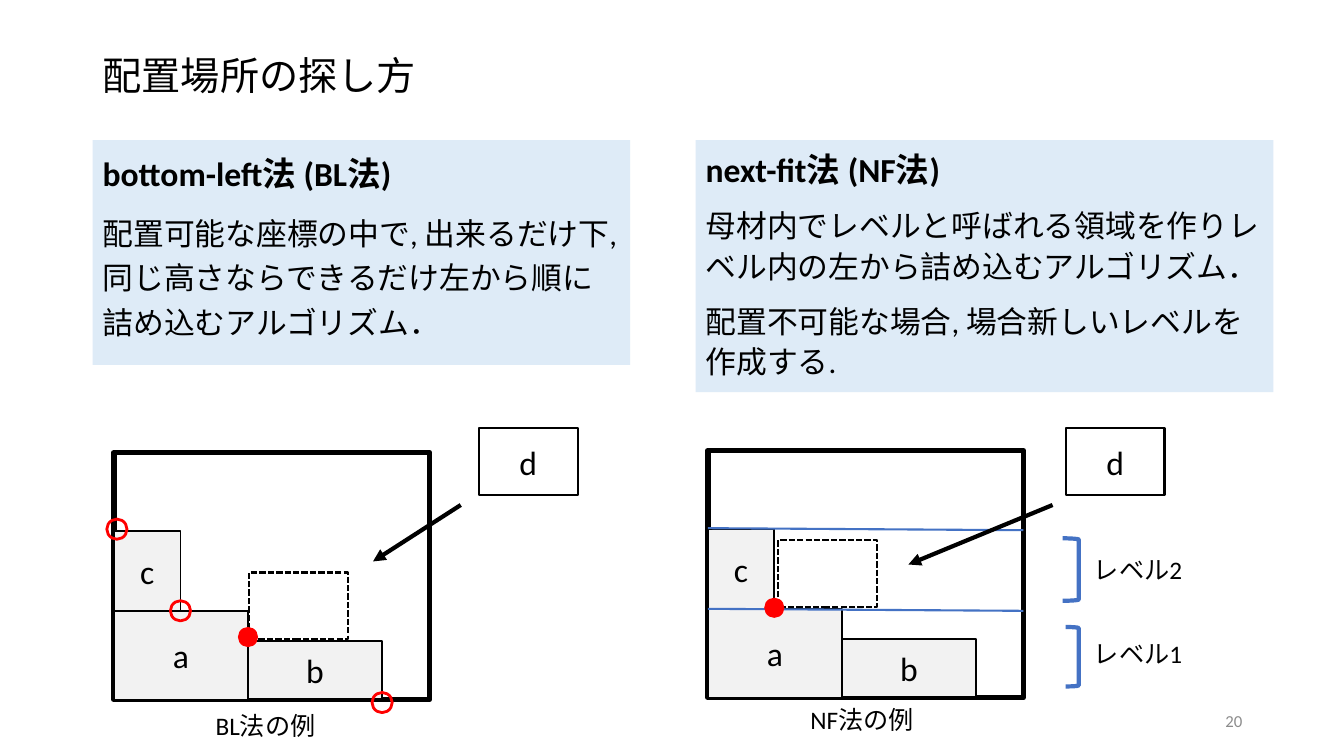
import pptx
import pptx.util
import pptx.dml.color
import pptx.enum.dml
import pptx.enum.shapes
import pptx.enum.text
import pptx.oxml
import pptx.oxml.ns
from lxml import etree

Inches, Pt = pptx.util.Inches, pptx.util.Pt
RGBColor = pptx.dml.color.RGBColor
SHAPE = pptx.enum.shapes.MSO_SHAPE
ALIGN = pptx.enum.text.PP_ALIGN
ANCHOR = pptx.enum.text.MSO_ANCHOR
qn = pptx.oxml.ns.qn

FONT = "Calibri"
BLACK = RGBColor(0x00, 0x00, 0x00)
GREY = RGBColor(0x8C, 0x8C, 0x8C)
PANEL = RGBColor(0xDE, 0xEB, 0xF7)
BLOCK = RGBColor(0xF2, 0xF2, 0xF2)
RED = RGBColor(0xFF, 0x00, 0x00)
BLUE = RGBColor(0x44, 0x72, 0xC4)

BIN_W, BIN_H = 3.13, 2.45
ITEM_W, ITEM_H = 0.98, 0.66
DOT = 0.2


def style_runs(p, size, color=BLACK, bold=False):
    for r in p.runs:
        r.font.name = FONT
        r.font.size = Pt(size)
        r.font.bold = bold
        r.font.color.rgb = color


def add_shape(s, kind, x, y, w, h, fill=None, line=None, width=1.5, text=""):
    sp = s.shapes.add_shape(kind, Inches(x), Inches(y), Inches(w), Inches(h))
    sp.shadow.inherit = False
    if fill is None:
        sp.fill.background()
    else:
        sp.fill.solid()
        sp.fill.fore_color.rgb = fill
    if line is None:
        sp.line.fill.background()
    else:
        sp.line.color.rgb = line
        sp.line.width = Pt(width)
    if text:
        tf = sp.text_frame
        tf.text = text
        tf.vertical_anchor = ANCHOR.MIDDLE
        tf.paragraphs[0].alignment = ALIGN.CENTER
        style_runs(tf.paragraphs[0], 24)
    return sp


def add_text(s, x, y, w, h, text, size, color=BLACK, align=ALIGN.LEFT, wrap=False):
    tf = s.shapes.add_textbox(Inches(x), Inches(y), Inches(w), Inches(h)).text_frame
    tf.word_wrap = wrap
    tf.text = text
    tf.paragraphs[0].alignment = align
    style_runs(tf.paragraphs[0], size, color)
    return tf


def add_line(s, x1, y1, x2, y2, color, width, arrow=False):
    line = s.shapes.add_connector(pptx.enum.shapes.MSO_CONNECTOR.STRAIGHT,
                                  Inches(x1), Inches(y1), Inches(x2), Inches(y2))
    line.line.color.rgb = color
    line.line.width = Pt(width)
    if arrow:
        etree.SubElement(line.line._get_or_add_ln(), qn("a:tailEnd"), type="triangle")
    etree.SubElement(line._element.spPr, qn("a:effectLst"))


def add_dot(s, cx, cy, filled=False):
    add_shape(s, SHAPE.OVAL, cx - DOT / 2, cy - DOT / 2, DOT, DOT,
              fill=RED if filled else None, line=None if filled else RED, width=2)


def add_panel(s, x, y, w, h, heading, body, spacing):
    """Tinted description box: bold heading, then body paragraphs."""
    tf = add_shape(s, SHAPE.RECTANGLE, x, y, w, h, fill=PANEL).text_frame
    tf.word_wrap = True
    tf.vertical_anchor = ANCHOR.TOP
    for i, text in enumerate([heading] + body):
        p = tf.paragraphs[0] if i == 0 else tf.add_paragraph()
        p.text = text
        p.alignment = ALIGN.LEFT
        p.line_spacing = spacing
        p.space_before = Pt(10)
        style_runs(p, 24 if i == 0 else 22, bold=i == 0)


def add_bin(s, x, y, item_dx, slot):
    """Bin holding blocks a, b, c; item d outside and its dashed slot inside."""
    sp = add_shape(s, SHAPE.RECTANGLE, x + slot[0], y + slot[1], ITEM_W, ITEM_H, line=BLACK)
    sp.line.dash_style = pptx.enum.dml.MSO_LINE.SQUARE_DOT
    add_shape(s, SHAPE.RECTANGLE, x, y, BIN_W, BIN_H, line=BLACK, width=4)
    for name, dx, dy, w, h in [("c", 0, 0.78, 0.66, 0.8),
                               ("a", 0, 1.57, 1.33, 0.88),
                               ("b", 1.33, 1.87, 1.33, 0.57)]:
        add_shape(s, SHAPE.RECTANGLE, x + dx, y + dy, w, h, BLOCK, BLACK, 1.25, name)
    add_shape(s, SHAPE.RECTANGLE, x + item_dx, 4.25, ITEM_W, ITEM_H, line=BLACK, text="d")


def add_bl_example(s, x, y):
    add_bin(s, x, y, 3.62, (1.34, 1.19))
    # Candidate corners, the chosen one filled
    for dx, dy, chosen in [(2.66, 2.48, False), (1.33, 1.83, True),
                           (0.66, 1.57, False), (0.03, 0.76, False)]:
        add_dot(s, x + dx, y + dy, chosen)
    add_line(s, x + 3.44, y + 0.52, x + 2.57, y + 1.08, BLACK, 3, arrow=True)
    add_text(s, x + 0.91, y + 2.51, 1.26, 0.4, "BL法の例", 18)


def add_nf_example(s, x, y):
    add_bin(s, x, y, 3.55, (0.7, 0.89))
    # Level boundaries
    for dy in (1.57, 0.77):
        add_line(s, x, y + dy, x + BIN_W, y + dy + 0.02, BLUE, 1.5)
    add_dot(s, x + 0.66, y + 1.56, filled=True)
    add_line(s, x + 3.42, y + 0.54, x + 1.99, y + 1.13, BLACK, 3, arrow=True)
    # Level brackets and names
    for name, text_dy, dy, w, h in [("レベル2", 0.98, 0.87, 0.16, 0.62),
                                    ("レベル1", 1.81, 1.75, 0.13, 0.59)]:
        add_text(s, x + 3.73, y + text_dy, 1.09, 0.4, name, 18, wrap=True)
        add_shape(s, SHAPE.RIGHT_BRACKET, x + 3.68 - w, y + dy, w, h, line=BLUE, width=3)
    add_text(s, x + 0.92, y + 2.47, 1.3, 0.4, "NF法の例", 18)


def main():
    prs = pptx.Presentation()
    prs.slide_width, prs.slide_height = Inches(13.33), Inches(7.5)
    s = prs.slides.add_slide(prs.slide_layouts[6])

    # Title and page number
    add_text(s, 0.92, 0.46, 3.34, 0.57, "配置場所の探し方", 28)
    tf = add_text(s, 9.42, 6.95, 3, 0.4, "20", 12, GREY, ALIGN.RIGHT, wrap=True)
    tf.vertical_anchor = ANCHOR.MIDDLE

    # Descriptions
    add_panel(s, 0.92, 1.39, 5.33, 2.23, "bottom-left法 (BL法)",
              ["配置可能な座標の中で, 出来るだけ下, 同じ高さならできるだけ左から順に詰め込むアルゴリズム．"], 1.2)
    add_panel(s, 6.9, 1.39, 5.73, 2.5, "next-fit法 (NF法)",
              ["母材内でレベルと呼ばれる領域を作りレベル内の左から詰め込むアルゴリズム．",
               "配置不可能な場合, 場合新しいレベルを作成する."], 1.1)

    # Packing examples
    add_bl_example(s, 1.13, 4.49)
    add_nf_example(s, 7.02, 4.47)
    prs.save("out.pptx")


if __name__ == "__main__":
    main()
